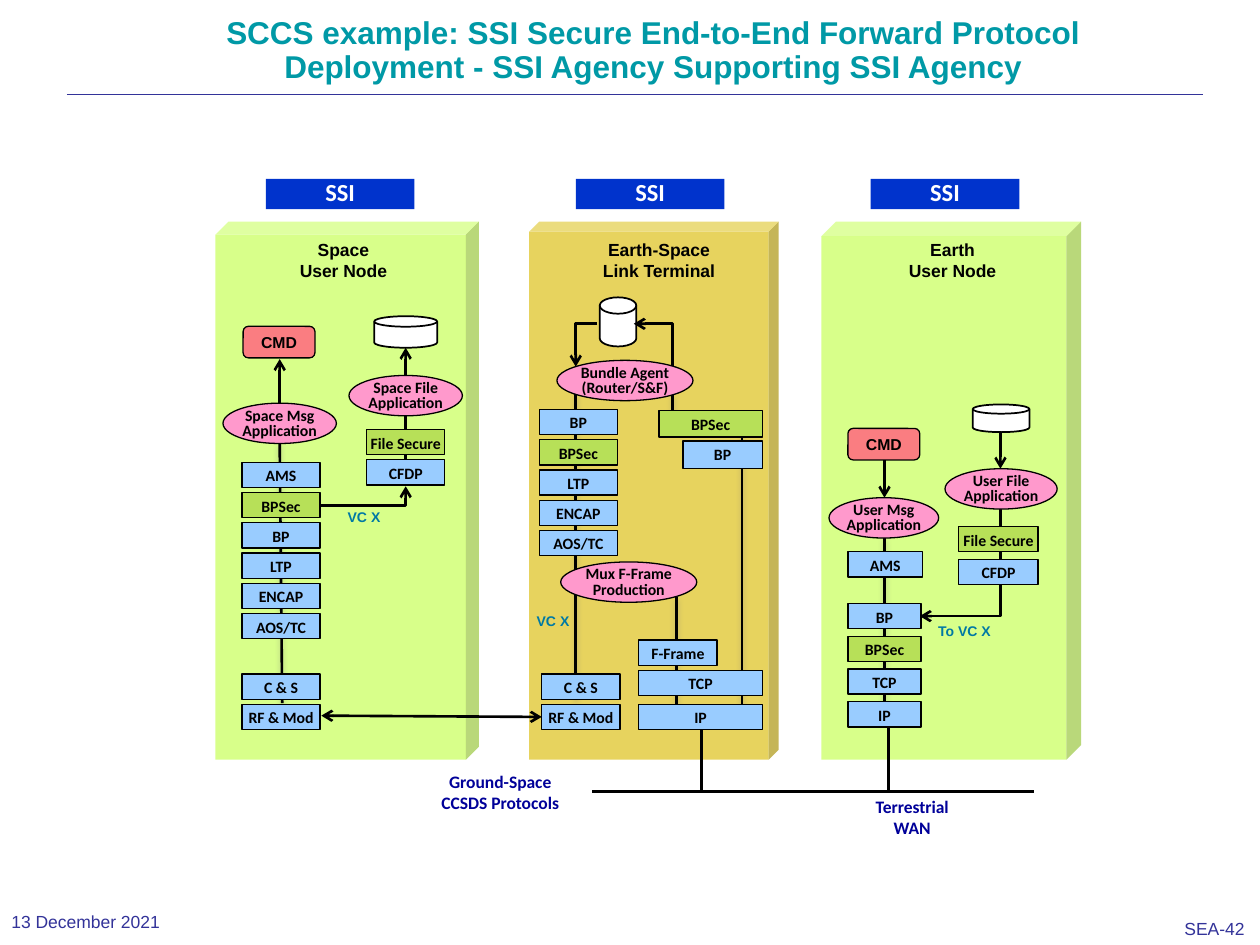
from dataclasses import dataclass

from lxml.etree import SubElement
from pptx import Presentation
from pptx.dml.color import RGBColor
from pptx.enum.shapes import MSO_CONNECTOR as Connector, MSO_SHAPE as Shape
from pptx.enum.text import MSO_ANCHOR as Anchor, PP_ALIGN as Align
from pptx.oxml.ns import qn
from pptx.util import Cm, Pt


@dataclass(frozen=True)
class Theme:
    heading: str = "Arial"
    body: str = "Calibri"
    black: str = "000000"
    white: str = "FFFFFF"
    title: str = "0099A6"
    footer: str = "333399"
    network: str = "000099"
    channel: str = "0079A4"
    banner: str = "0033CC"
    user_node: str = "CCFF66"
    terminal: str = "E0C62C"
    layer: str = "99CCFF"
    secure: str = "B7E058"
    application: str = "FF99CC"
    command: str = "FA7D81"
    shadow: str = "808080"
    title_size: float = 18
    banner_size: float = 14
    text_size: float = 10
    node_size: float = 9
    channel_size: float = 8


THEME = Theme()

# All positions are in inches: left, top, width, height
TITLE = ("SCCS example: SSI Secure End-to-End Forward Protocol Deployment"
         " - SSI Agency Supporting SSI Agency")
NODE_TOP, NODE_HEIGHT = 1.76, 4.27
# left, width, cube depth, colour, banner left, name, name left, name width
NODES = [
    (1.71, 2.09, 0.049, THEME.user_node, 2.11, "Space\nUser Node", 2.13, 1.19),
    (4.20, 1.98, 0.040, THEME.terminal, 4.57, "Earth-Space\nLink Terminal", 4.51, 1.44),
    (6.52, 2.06, 0.056, THEME.user_node, 6.91, "Earth\nUser Node", 6.91, 1.30),
]
# left, top, width, height, pitch, layers from top to bottom (None is a gap)
STACKS = [
    (1.92, 3.67, 0.62, 0.20, 0.24,
     ["AMS", "BPSec", "BP", "LTP", "ENCAP", "AOS/TC", None, "C & S", "RF & Mod"]),
    (2.91, 3.41, 0.62, 0.20, 0.24, ["File Secure", "CFDP"]),
    (4.28, 3.25, 0.62, 0.20, 0.24, ["BP", "BPSec", "LTP", "ENCAP", "AOS/TC"]),
    (4.30, 5.35, 0.62, 0.20, 0.24, ["C & S", "RF & Mod"]),
    (5.23, 3.26, 0.82, 0.21, 0.24, ["BPSec"]),
    (5.42, 3.50, 0.63, 0.22, 0.24, ["BP"]),
    (5.07, 5.08, 0.62, 0.20, 0.24, ["F-Frame"]),
    (5.07, 5.32, 0.98, 0.20, 0.27, ["TCP", "IP"]),
    (6.73, 4.38, 0.59, 0.20, 0.26, ["AMS"]),
    (6.73, 4.79, 0.58, 0.20, 0.26, ["BP", "BPSec", "TCP", "IP"]),
    (7.61, 4.18, 0.63, 0.20, 0.26, ["File Secure", "CFDP"]),
]
SECURE_LAYERS = {"BPSec", "File Secure"}
APPLICATIONS = [
    ("Space Msg\nApplication", 1.77, 3.20, 0.90, 0.32),
    ("Space File Application", 2.77, 2.98, 0.90, 0.32),
    ("Bundle Agent\n(Router/S&F)", 4.42, 2.86, 1.08, 0.32),
    ("Mux F-Frame\nProduction", 4.45, 4.46, 1.08, 0.32),
    ("User Msg\nApplication", 6.58, 3.95, 0.87, 0.32),
    ("User File Application", 7.50, 3.72, 0.89, 0.32),
]
COMMANDS = [(1.93, 2.59, 0.57, 0.25), (6.73, 3.40, 0.57, 0.25)]
STORES = [(2.97, 2.51, 0.50, 0.25), (4.76, 2.36, 0.29, 0.39), (7.72, 3.21, 0.45, 0.22)]
# Line ends: x1, y1, x2, y2
STACK_LINES = [
    (2.22, 3.52, 2.24, 5.58), (4.57, 3.13, 4.57, 5.55), (5.37, 4.74, 5.37, 5.59),
    (5.89, 3.46, 5.89, 5.59), (5.34, 3.13, 5.34, 3.30), (7.02, 4.27, 7.02, 5.58),
]
NETWORK_LINES = [(4.70, 6.28, 8.21, 6.28), (5.57, 5.78, 5.57, 6.28), (7.05, 5.78, 7.05, 6.28)]
# Line ends and the ends that carry an arrowhead
ARROWS = [
    (2.55, 5.68, 4.30, 5.69, ("head", "tail")),
    (3.22, 2.76, 3.22, 3.65, ("head",)),
    (2.22, 2.85, 2.22, 3.20, ("head",)),
    (7.94, 3.44, 7.94, 3.72, ("tail",)),
    (7.02, 3.65, 7.02, 3.95, ("tail",)),
]
# Corner arrows run sideways first, then up or down
CORNER_ARROWS = [
    (2.55, 4.01, 3.22, 3.86, ("tail",)),
    (5.03, 2.57, 5.34, 2.91, ("head",)),
    (4.74, 2.57, 4.57, 2.91, ("tail",)),
    (7.30, 4.89, 7.94, 4.04, ("head",)),
]
CHANNELS = [("VC X", 2.66, 3.99, 0.46, 0.24), ("VC X", 4.16, 4.81, 0.46, 0.24),
            ("To VC X", 7.34, 4.89, 0.63, 0.24)]
NETWORKS = [("Ground-Space\nCCSDS Protocols", 3.32, 6.07, 1.30, 0.43),
            ("Terrestrial\nWAN", 6.67, 6.27, 1.14, 0.44)]
FOOTERS = [("13 December 2021", 0, 7.17, 1.89, 0.29), ("SEA-42", 9.31, 7.24, 0.68, 0.26)]


def inches(*values):
    return [Cm(value * 2.54) for value in values]


def write(shape, text, size, color, font=THEME.body, bold=True, align=Align.CENTER,
          spacing=1.0, anchor=Anchor.TOP, margins=(0.1, 0.05), wrap=True):
    frame = shape.text_frame
    frame.text = text
    side, edge = inches(*margins)
    frame_format = {"word_wrap": wrap, "vertical_anchor": anchor, "margin_left": side,
                    "margin_right": side, "margin_top": edge, "margin_bottom": edge}
    for name, value in frame_format.items():
        setattr(frame, name, value)
    for paragraph in frame.paragraphs:
        paragraph.alignment, paragraph.line_spacing = align, spacing
        for name, value in {"name": font, "size": Pt(size), "bold": bold}.items():
            setattr(paragraph.font, name, value)
        paragraph.font.color.rgb = RGBColor.from_string(color)


def add_text(slide, text, box, size, color, **options):
    write(slide.shapes.add_textbox(*inches(*box)), text, size, color, **options)


def add_block(slide, preset, box, fill, line_width=0.75):
    shape = slide.shapes.add_shape(preset, *inches(*box))
    shape.shadow.inherit = False
    shape.fill.solid()
    shape.fill.fore_color.rgb = RGBColor.from_string(fill)
    if line_width:
        shape.line.color.rgb = RGBColor.from_string(THEME.black)
        shape.line.width = Pt(line_width)
    else:
        shape.line.fill.background()
    return shape


def add_line(slide, ends, arrowheads=(), corner=False, shadow=False,
             color=THEME.black, width=1.5):
    kind = Connector.ELBOW if corner else Connector.STRAIGHT
    line = slide.shapes.add_connector(kind, *inches(*ends))
    line.line.color.rgb = RGBColor.from_string(color)
    line.line.width = Pt(width)
    properties = line._element.spPr
    if corner:
        properties.find(qn("a:prstGeom")).set("prst", "bentConnector2")
    for end in arrowheads:
        SubElement(properties.find(qn("a:ln")), qn(f"a:{end}End"), type="arrow")
    effects = SubElement(properties, qn("a:effectLst"))
    if shadow:
        outer = SubElement(effects, qn("a:outerShdw"), blurRad=str(Pt(3.1)),
                           dist=str(Pt(1.6)), dir="5400000", rotWithShape="0")
        shade = SubElement(outer, qn("a:srgbClr"), val=THEME.shadow)
        SubElement(shade, qn("a:alpha"), val="38000")


def add_node(slide, left, width, depth, color, banner_left, name, name_left, name_width):
    cube = add_block(slide, Shape.CUBE, (left, NODE_TOP, width, NODE_HEIGHT), color, 0)
    cube.adjustments[0] = depth
    SubElement(cube._element.spPr.find(".//" + qn("a:srgbClr")), qn("a:alpha"), val="76000")
    banner = add_block(slide, Shape.RECTANGLE, (banner_left, 1.42, 1.18, 0.24), THEME.banner, 0)
    write(banner, "SSI", THEME.banner_size, THEME.white, spacing=0.8, anchor=Anchor.MIDDLE)
    add_text(slide, name, (name_left, 1.85, name_width, 0.44), THEME.text_size,
             THEME.black, font=THEME.heading)


def add_stack(slide, left, top, width, height, pitch, layers):
    for row, layer in enumerate(layers):
        if layer:
            fill = THEME.secure if layer in SECURE_LAYERS else THEME.layer
            box = (left, top + row * pitch, width, height)
            write(add_block(slide, Shape.RECTANGLE, box, fill), layer,
                  THEME.node_size, THEME.black, margins=(0.02, 0.03), wrap=False)


def main():
    presentation = Presentation()
    presentation.slide_width, presentation.slide_height = Cm(25.4), Cm(19.05)
    slide = presentation.slides.add_slide(presentation.slide_layouts[5])

    title = slide.shapes.title
    title.left, title.top, title.width, title.height = inches(1.35, 0.09, 7.67, 1.08)
    write(title, TITLE, THEME.title_size, THEME.title, font=THEME.heading, spacing=0.9)
    add_line(slide, (0.53, 0.75, 9.55, 0.75), color=THEME.footer, width=0.13)

    for node in NODES:
        add_node(slide, *node)
    for box in STORES:
        add_block(slide, Shape.FLOWCHART_MAGNETIC_DISK, box, THEME.white, 1)
    for ends in NETWORK_LINES:
        add_line(slide, ends)
    for ends in STACK_LINES:
        add_line(slide, ends, shadow=True)
    for corner, arrows in ((False, ARROWS), (True, CORNER_ARROWS)):
        for *ends, arrowheads in arrows:
            add_line(slide, ends, arrowheads, corner)
    for stack in STACKS:
        add_stack(slide, *stack)
    for text, *box in APPLICATIONS:
        write(add_block(slide, Shape.OVAL, box, THEME.application), text,
              THEME.node_size, THEME.black, spacing=0.8, margins=(0, 0))
    for box in COMMANDS:
        write(add_block(slide, Shape.ROUNDED_RECTANGLE, box, THEME.command), "CMD",
              THEME.node_size, THEME.black, font=THEME.heading, anchor=Anchor.MIDDLE)

    for text, *box in CHANNELS:
        add_text(slide, text, box, THEME.channel_size, THEME.channel,
                 font=THEME.heading, wrap=False)
    for text, *box in NETWORKS:
        add_text(slide, text, box, THEME.text_size, THEME.network)
    for text, *box in FOOTERS:
        add_text(slide, text, box, THEME.text_size, THEME.footer, font=THEME.heading,
                 bold=False, align=Align.LEFT, anchor=Anchor.MIDDLE,
                 margins=(0.09, 0.05), wrap=False)
    presentation.save("out.pptx")


if __name__ == "__main__":
    main()
